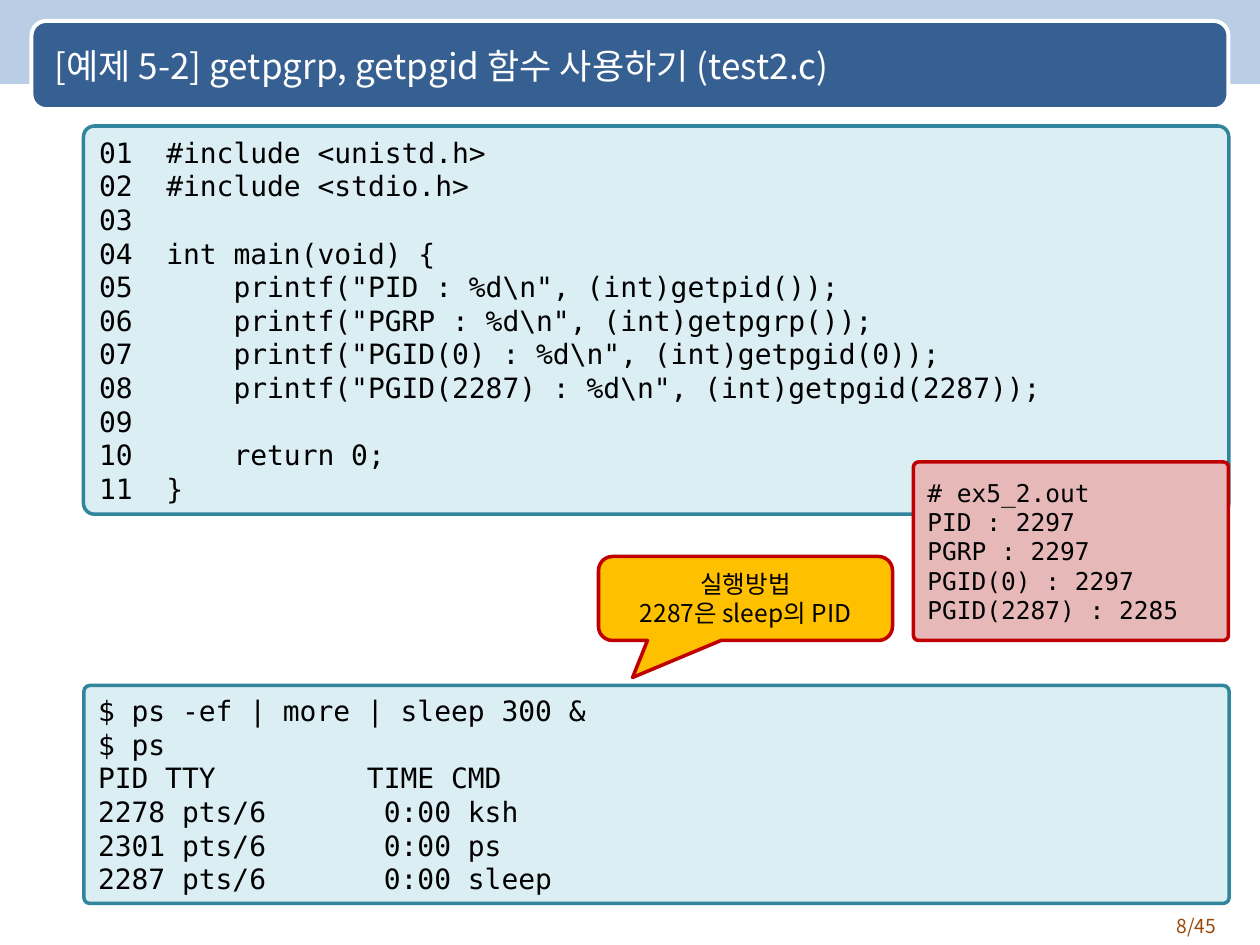
from pptx import Presentation
from pptx.dml.color import RGBColor
from pptx.enum import shapes as kinds, text as txt
from pptx.oxml import parse_xml
from pptx.oxml.ns import nsdecls
from pptx.util import Pt

SANS, MONO = "Noto Sans CJK KR", "DejaVu Sans Mono"
ALIGN, SHAPE = txt.PP_ALIGN, kinds.MSO_SHAPE

TITLE = "[예제 5-2] getpgrp, getpgid 함수 사용하기 (test2.c)"
PAGE = "8/45"
SOURCE_CODE = [
    "#include <unistd.h>",
    "#include <stdio.h>",
    "",
    "int main(void) {",
    r'    printf("PID : %d\n", (int)getpid());',
    r'    printf("PGRP : %d\n", (int)getpgrp());',
    r'    printf("PGID(0) : %d\n", (int)getpgid(0));',
    r'    printf("PGID(2287) : %d\n", (int)getpgid(2287));',
    "",
    "    return 0;",
    "}",
]
NUMBERED_CODE = [f"{number:02}  {line}" for number, line in enumerate(SOURCE_CODE, 1)]
OUTPUT = ["# ex5_2.out", "PID : 2297", "PGRP : 2297", "PGID(0) : 2297", "PGID(2287) : 2285"]
SESSION = [
    "$ ps -ef | more | sleep 300 &",
    "$ ps",
    "PID TTY         TIME CMD",
    "2278 pts/6       0:00 ksh",
    "2301 pts/6       0:00 ps",
    "2287 pts/6       0:00 sleep",
]
HOW_TO_RUN = ["실행방법", "2287은 sleep의 PID"]

TEAL_PANEL = ("DBEEF4", "31859C")
RED_PANEL = ("E6B9B8", "C00000")
# place, (fill, line), lines, size
PANELS = [
    ((47.7, 72, 654.5, 221.8), TEAL_PANEL, NUMBERED_CODE, 16),
    ((522, 264, 180, 102), RED_PANEL, OUTPUT, 14),
    ((47.9, 391.7, 654.5, 124.6), TEAL_PANEL, SESSION, 16),
]


def color(hex_code):
    return RGBColor.from_string(hex_code)


def place(shape, box):
    shape.left, shape.top, shape.width, shape.height = map(Pt, box)


def write(shape, lines, size, font, ink="000000", align=ALIGN.LEFT, anchor=txt.MSO_ANCHOR.MIDDLE):
    frame = shape.text_frame
    frame.word_wrap = True
    frame.auto_size = txt.MSO_AUTO_SIZE.NONE
    frame.vertical_anchor = anchor
    frame.margin_left = frame.margin_right = Pt(7.2)
    frame.margin_top = frame.margin_bottom = Pt(3.6)
    for index, line in enumerate(lines):
        paragraph = frame.add_paragraph() if index else frame.paragraphs[0]
        paragraph.alignment = align
        run = paragraph.add_run()
        run.text = line
        run.font.size = Pt(size)
        run.font.color.rgb = color(ink)
        run.font.name = font
        east_asian = parse_xml(f'<a:ea {nsdecls("a")} typeface="{font}"/>')
        run.font._element.append(east_asian)


def add_box(slide, kind, box, fill, line=None, width=2.0, adjust=()):
    shape = slide.shapes.add_shape(kind, *map(Pt, box))
    shape.shadow.inherit = False
    shape.fill.solid()
    shape.fill.fore_color.rgb = color(fill)
    if line:
        shape.line.color.rgb = color(line)
        shape.line.width = Pt(width)
    else:
        shape.line.fill.background()
    for index, value in enumerate(adjust):
        shape.adjustments[index] = value
    return shape


def main():
    deck = Presentation()
    deck.slide_width, deck.slide_height = Pt(720), Pt(540)
    slide = deck.slides.add_slide(deck.slide_layouts[5])

    add_box(slide, SHAPE.RECTANGLE, (0, 0, 720, 48), "B9CDE5")
    add_box(slide, SHAPE.ROUNDED_RECTANGLE, (18, 12, 684, 50.4), "376092", "FFFFFF", 2.25, [0.167])

    title = slide.shapes.title
    place(title, (24, 13.7, 666, 48))
    write(title, [TITLE], 20, SANS, "FFFFFF")
    slide.shapes.element.append(title.element)  # in front of the header bars

    page = slide.shapes.add_textbox(*map(Pt, (642, 519, 60, 21)))
    write(page, [PAGE], 11, SANS, "984807", ALIGN.RIGHT, txt.MSO_ANCHOR.TOP)

    for box, (fill, line), lines, size in PANELS:
        panel = add_box(slide, SHAPE.ROUNDED_RECTANGLE, box, fill, line, adjust=[0.028])
        write(panel, lines, size, MONO, align=ALIGN.JUSTIFY)

    callout = add_box(slide, SHAPE.ROUNDED_RECTANGULAR_CALLOUT, (342, 318, 168, 48),
                      "FFC000", "C00000", adjust=[-0.384, 0.941, 0.167])
    write(callout, HOW_TO_RUN, 14, SANS, align=ALIGN.CENTER)

    deck.save("out.pptx")


if __name__ == "__main__":
    main()
